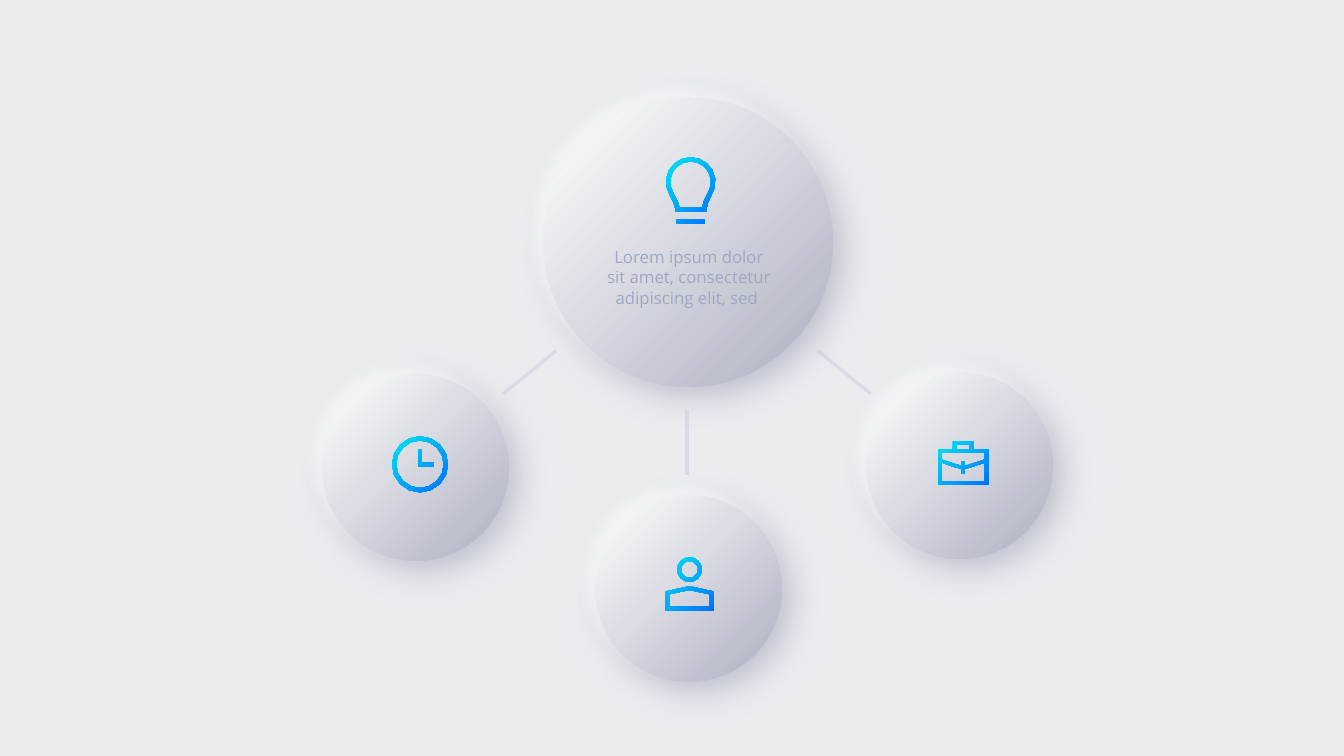
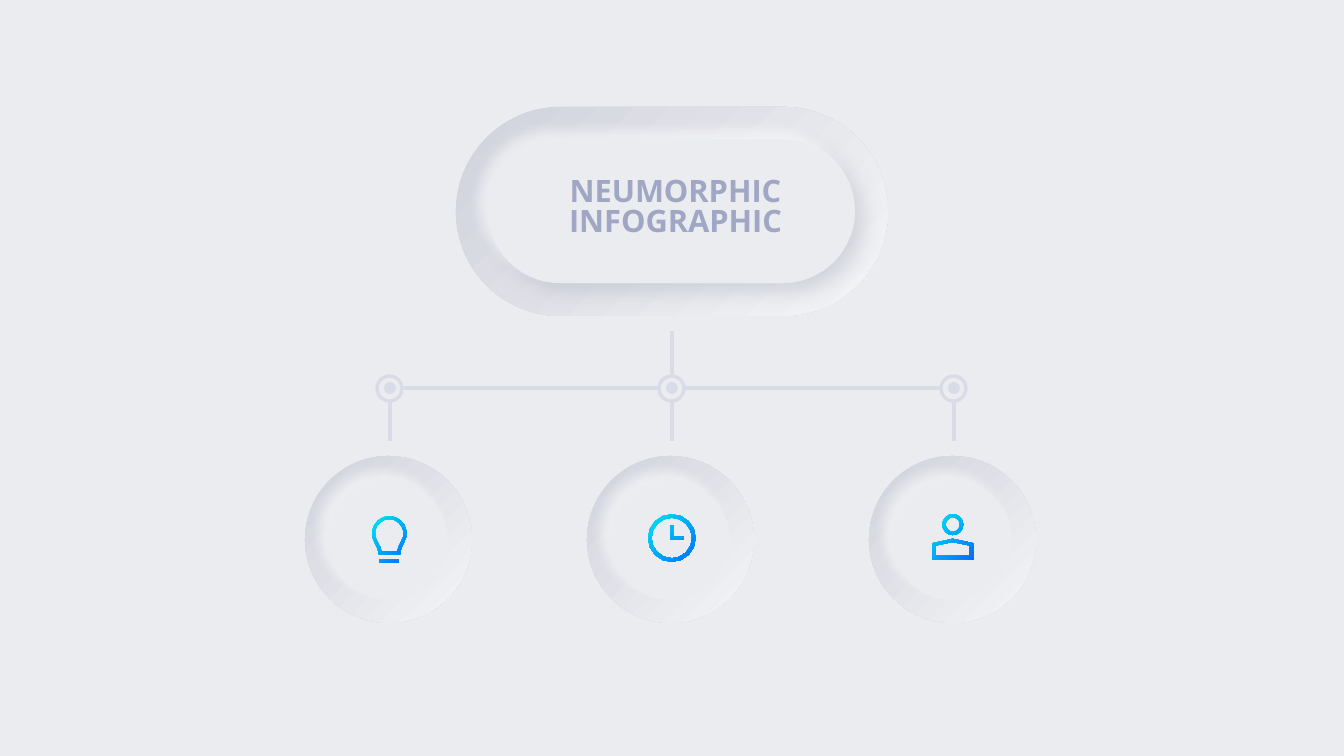
import math

import lxml.etree
import pptx
import pptx.dml.color
import pptx.enum.shapes
import pptx.enum.text
import pptx.oxml.ns
import pptx.util

SCALE = 914400 / 100.8
BACK, STEEL, WHITE = "EBECF0", "ACB0C0", "FFFFFF"
RULE, INK = "D9DCE7", "9FA7C4"
RAISED = (WHITE, STEEL)
SUNKEN = ("D0D2DC", "F4F5F7")
GLOW = ("00E6F2", "006EFF")
DARK = (STEEL, 73, 24)
SOFT = (STEEL, 42, 14)
LIGHT = (WHITE, 56, 9, 225)
OVAL = pptx.enum.shapes.MSO_SHAPE.OVAL
PILL = pptx.enum.shapes.MSO_SHAPE.ROUNDED_RECTANGLE


def px(count):
    return round(count * SCALE)


def color(code):
    return pptx.dml.color.RGBColor.from_string(code)


def arc(x, y, radius, start, end, steps):
    turns = [math.radians(start + (end - start) * i / steps) for i in range(steps + 1)]
    return [(x + radius * math.cos(t), y + radius * math.sin(t)) for t in turns]


def ring(x, y, radius):
    return arc(x, y, radius, 0, 360, 16)[:-1]


def box(left, top, right, bottom):
    return [(left, top), (right, top), (right, bottom), (left, bottom)]


BULB = [
    box(110, 625, 385, 665),
    arc(247, 250, 247, 148, 392, 12)
    + [(420, 455), (405, 520), (405, 545), (95, 545), (95, 520), (75, 455)],
    arc(247, 250, 205, 148, 392, 12) + [(380, 440), (362, 505), (135, 505), (115, 440)],
]
CLOCK = [
    ring(280, 283, 280),
    ring(280, 283, 238),
    [(262, 132), (298, 132), (298, 264), (418, 264), (418, 306), (262, 306)],
]
PERSON = [
    ring(245, 125, 123),
    ring(245, 125, 84),
    [(245, 292), (487, 345), (487, 535), (3, 535), (3, 345)],
    [(245, 330), (445, 372), (445, 492), (45, 492), (45, 372)],
]
CASE = [
    [(3, 83), (150, 83), (150, 0), (358, 0), (358, 83), (507, 83), (507, 437), (3, 437)],
    box(190, 38, 318, 83),
    [(37, 115), (470, 115), (470, 185), (345, 225), (300, 240), (270, 245),
     (270, 205), (235, 205), (235, 245), (205, 240), (155, 225), (37, 185)],
    [(37, 402), (37, 215), (145, 255), (190, 268), (235, 275), (235, 320),
     (270, 320), (270, 275), (315, 268), (355, 255), (470, 215), (470, 402)],
]


class Deck:
    def __init__(self):
        self.file = pptx.Presentation()
        self.file.slide_width, self.file.slide_height = px(1344), px(756)
        self.slide = None

    def page(self):
        self.slide = self.file.slides.add_slide(self.file.slide_layouts[6])
        fill = self.slide.background.fill
        fill.solid()
        fill.fore_color.rgb = color(BACK)

    def paint(self, shape, fill=None, line=None, shade=None):
        if fill is None:
            shape.fill.background()
        elif isinstance(fill, str):
            shape.fill.solid()
            shape.fill.fore_color.rgb = color(fill)
        else:
            shape.fill.gradient()
            shape.fill.gradient_angle = 315
            for stop, code in zip(shape.fill.gradient_stops, fill):
                stop.color.rgb = color(code)
        if line:
            self.stroke(shape.line, line)
        else:
            shape.line.fill.background()
        shape.shadow.inherit = False
        if shade:
            self.shade(shape, *shade)

    def stroke(self, line, code):
        line.color.rgb = color(code)
        line.width = pptx.util.Pt(2.38)

    def shade(self, shape, code, alpha, blur, angle=45):
        qn = pptx.oxml.ns.qn
        host = shape.element.spPr.find(qn("a:effectLst"))
        cast = lxml.etree.SubElement(
            host, qn("a:outerShdw"), blurRad=str(pptx.util.Pt(blur)),
            dist=str(pptx.util.Pt(9)), dir=str(angle * 60000),
            algn="ctr", rotWithShape="0")
        tint = lxml.etree.SubElement(cast, qn("a:srgbClr"), val=code)
        lxml.etree.SubElement(tint, qn("a:alpha"), val=str(alpha * 1000))

    def shape(self, kind, x, y, width, height, **look):
        shape = self.slide.shapes.add_shape(kind, px(x), px(y), px(width), px(height))
        if kind == PILL:
            shape.adjustments[0] = 0.5
        self.paint(shape, **look)

    def disc(self, x, y, size, **look):
        self.shape(OVAL, x, y, size, size, **look)

    def line(self, x1, y1, x2, y2):
        line = self.slide.shapes.add_connector(
            pptx.enum.shapes.MSO_CONNECTOR.STRAIGHT, px(x1), px(y1), px(x2), px(y2))
        self.stroke(line.line, RULE)
        lxml.etree.SubElement(line.element.spPr, pptx.oxml.ns.qn("a:effectLst"))

    def icon(self, loops, x, y, size=100):
        first, *rest = loops
        pen = self.slide.shapes.build_freeform(*first[0], scale=SCALE * size / 1000)
        pen.add_line_segments(first[1:])
        for loop in rest:
            pen.move_to(*loop[0])
            pen.add_line_segments(loop[1:])
        self.paint(pen.convert_to_shape(px(x), px(y)), fill=GLOW)

    def text(self, words, x, y, width, height, size=12, bold=False, wrap=True, inset=True):
        frame = self.slide.shapes.add_textbox(px(x), px(y), px(width), px(height)).text_frame
        frame.word_wrap = wrap
        if not inset:
            frame.margin_left = frame.margin_right = 0
            frame.margin_top = frame.margin_bottom = 0
        para = frame.paragraphs[0]
        para.text = words
        para.alignment = pptx.enum.text.PP_ALIGN.CENTER
        font = para.runs[0].font
        font.name, font.size, font.bold = "Open Sans", pptx.util.Pt(size), bold
        font.color.rgb = color(INK)

    def ball(self, x, y, size):
        self.disc(x, y, size, fill=BACK, shade=DARK)
        self.disc(x, y, size, fill=RAISED, shade=LIGHT)

    def node(self, x, y):
        self.disc(x - 13, y - 12, 25, line=RULE)
        self.disc(x - 6, y - 6, 12, fill=RULE)

    def well(self, x, y):
        self.disc(x - 84, y - 84, 167, fill=SUNKEN)
        self.disc(x - 61, y - 60, 120, fill=BACK, shade=LIGHT)


def hub(deck):
    deck.page()
    for ends in [(556, 351, 503, 394), (818, 351, 871, 394), (687, 475, 687, 410)]:
        deck.line(*ends)
    deck.ball(543, 97, 290)
    for x, y in [(322, 374), (595, 495), (866, 372)]:
        deck.ball(x, y, 187)
    deck.icon(CASE, 938, 441)
    deck.icon(BULB, 666, 157)
    deck.icon(PERSON, 665, 557)
    deck.icon(CLOCK, 392, 436)
    deck.text("Lorem ipsum dolor sit amet, consectetur adipiscing elit, sed ",
              596, 242, 186, 72)


def tree(deck):
    deck.page()
    row, step = 388, 282
    spots = [390 + step * i for i in range(3)]
    deck.line(spots[1], 331, spots[1], row - 12)
    for x in spots[:2]:
        deck.line(x + 12, row, x + step - 13, row)
    for x in spots:
        deck.line(x, 441, x, row + 13)
        deck.node(x, row)
        deck.well(x - 1, 540)
    deck.shape(PILL, 456, 107, 432, 209, fill=SUNKEN)
    for x, shade in [(489, SOFT), (488, LIGHT)]:
        deck.shape(PILL, x, 139, 366, 144, fill=BACK, shade=shade)
    for i, word in enumerate(["NEUMORPHIC", "INFOGRAPHIC"]):
        deck.text(word, 568, 172 + 30 * i, 215, 37,
                  size=22, bold=True, wrap=False, inset=False)
    deck.icon(BULB, 372, 516, 70)
    deck.icon(PERSON, 932, 514, 85)
    deck.icon(CLOCK, 648, 514, 85)


def main():
    deck = Deck()
    hub(deck)
    tree(deck)
    deck.file.save("out.pptx")


if __name__ == "__main__":
    main()
